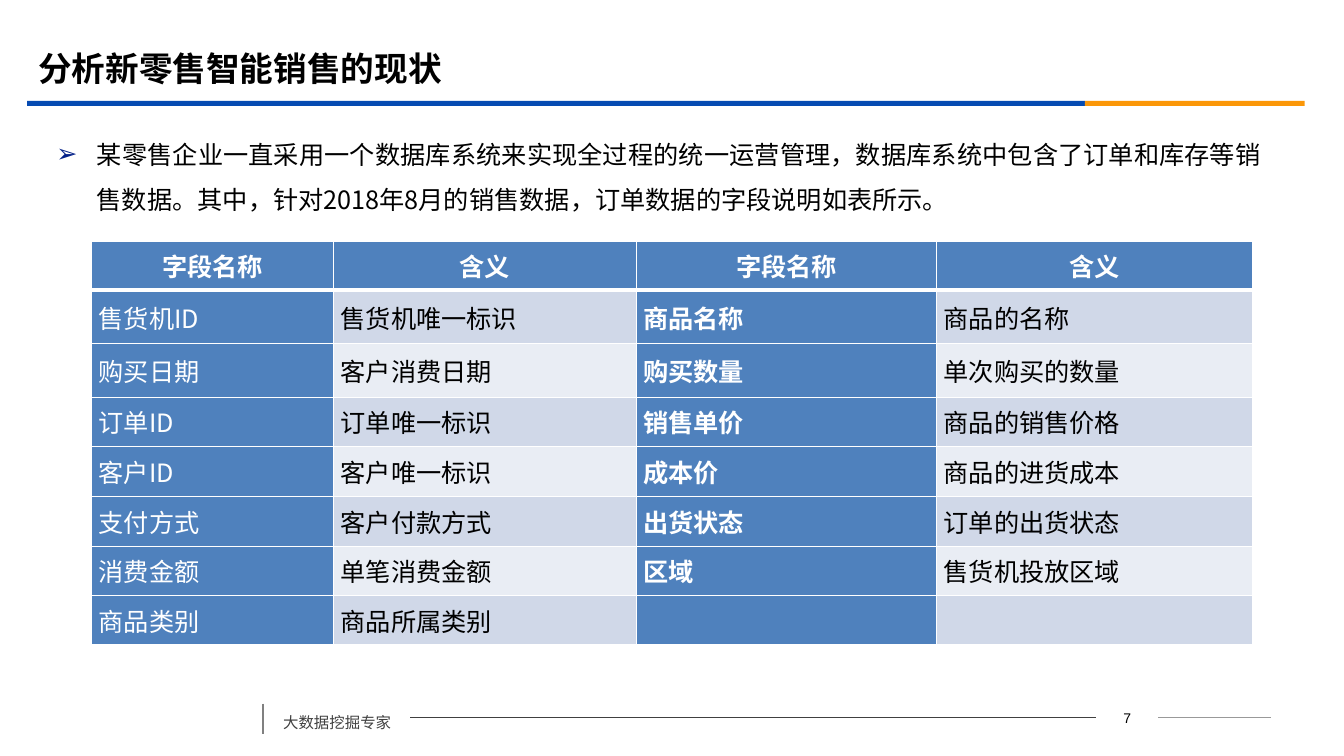
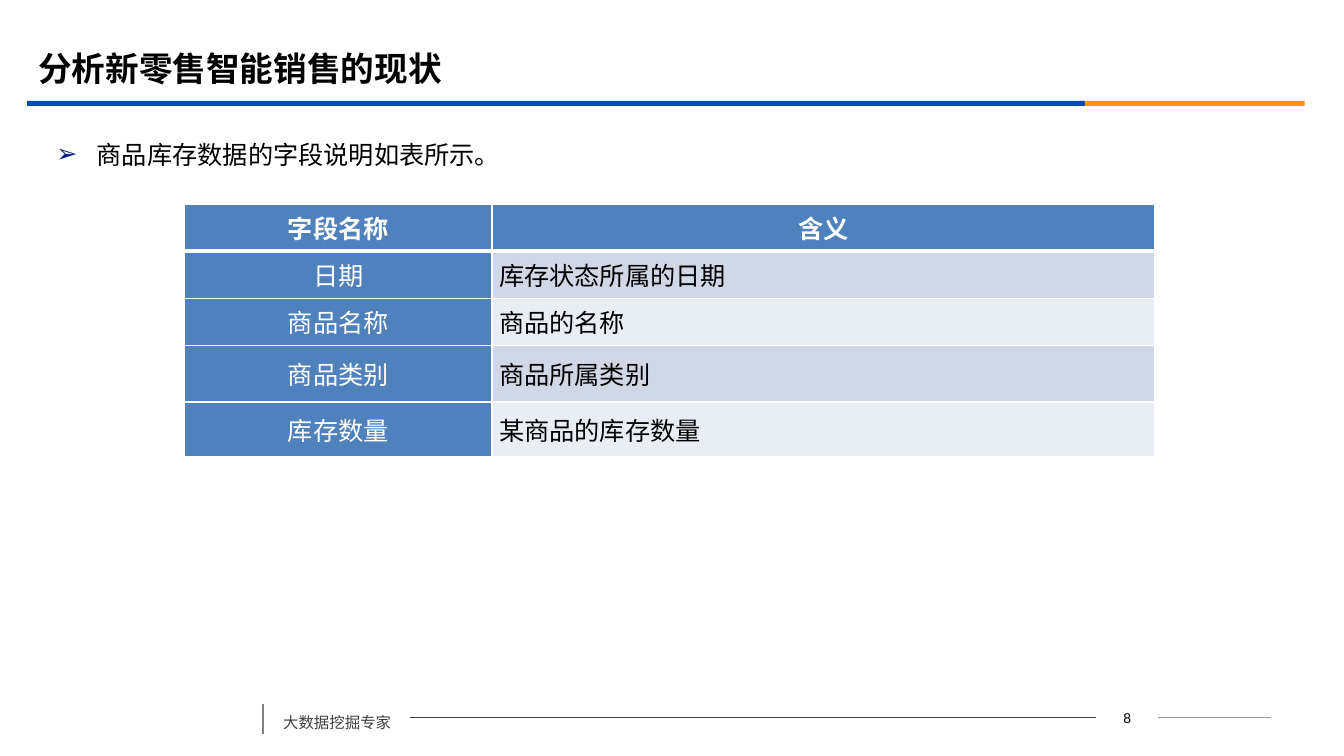
from dataclasses import dataclass
from typing import Any

from lxml.etree import SubElement
from pptx import Presentation
from pptx.dml.color import RGBColor
from pptx.enum.shapes import MSO_CONNECTOR, MSO_SHAPE
from pptx.enum.text import MSO_ANCHOR, MSO_AUTO_SIZE, PP_ALIGN
from pptx.oxml.ns import qn
from pptx.util import Inches, Pt


@dataclass(frozen=True)
class Theme:
    font: str = "Noto Sans CJK SC"
    digit: str = "Arial"
    black: str = "000000"
    white: str = "FFFFFF"
    blue: str = "064BB2"
    gold: str = "FB9708"
    mark: str = "032089"
    note: str = "404040"
    rule: str = "404040"
    tail: str = "999999"
    tick: str = "808080"
    head: str = "4F81BD"
    odd: str = "D0D8E8"
    even: str = "E9EDF4"
    big: int = 24
    base: int = 18
    foot: int = 11
    small: int = 10


@dataclass(frozen=True)
class Band:
    left: float
    width: float
    color: str


@dataclass(frozen=True)
class Grid:
    left: float
    top: float
    cols: list[float]
    rows: list[float]
    cells: list[list[str]]
    key_align: PP_ALIGN


@dataclass(frozen=True)
class Page:
    number: int
    lead: str
    grid: Grid


T = Theme()
TITLE = "分析新零售智能销售的现状"
BANDS = [Band(0.27, 10.49, T.blue), Band(10.76, 2.18, T.gold)]
MID = 7.12  # height of the footer rules

PAGES = [
    Page(7, "某零售企业一直采用一个数据库系统来实现全过程的统一运营管理，数据库系统中包含了"
            "订单和库存等销售数据。其中，针对2018年8月的销售数据，订单数据的字段说明如表所示。",
         Grid(0.91, 2.39, [2.4, 3, 2.98, 3.13],
              [0.49, 0.53, 0.53, 0.49, 0.5, 0.49, 0.49, 0.49],
              [["字段名称", "含义", "字段名称", "含义"],
               ["售货机ID", "售货机唯一标识", "商品名称", "商品的名称"],
               ["购买日期", "客户消费日期", "购买数量", "单次购买的数量"],
               ["订单ID", "订单唯一标识", "销售单价", "商品的销售价格"],
               ["客户ID", "客户唯一标识", "成本价", "商品的进货成本"],
               ["支付方式", "客户付款方式", "出货状态", "订单的出货状态"],
               ["消费金额", "单笔消费金额", "区域", "售货机投放区域"],
               ["商品类别", "商品所属类别", "", ""]],
              PP_ALIGN.LEFT)),
    Page(8, "商品库存数据的字段说明如表所示。",
         Grid(1.83, 2.03, [3.05, 6.57], [0.46, 0.47, 0.47, 0.56, 0.54],
              [["字段名称", "含义"],
               ["日期", "库存状态所属的日期"],
               ["商品名称", "商品的名称"],
               ["商品类别", "商品所属类别"],
               ["库存数量", "某商品的库存数量"]],
              PP_ALIGN.CENTER)),
]


def apply(item: Any, form: dict[str, Any]) -> None:
    for name, value in form.items():
        setattr(item, name, value)


def place(shape: Any, left: float, top: float, width: float, height: float) -> None:
    apply(shape, {"left": Inches(left), "top": Inches(top),
                  "width": Inches(width), "height": Inches(height)})


def write(para: Any, text: str, size: int, color: str, bold: bool = False,
          font: str = T.font, **form: Any) -> None:
    """Fill a paragraph with one run; form holds paragraph settings."""
    apply(para, form)
    run = para.add_run()
    run.text = text
    apply(run.font, {"name": font, "size": Pt(size), "bold": bold})
    run.font.color.rgb = RGBColor.from_string(color)
    SubElement(run._r.get_or_add_rPr(), qn("a:ea"), typeface=font)


def bullet(para: Any) -> None:
    props = para._p.get_or_add_pPr()
    apply_ind = {"marL": str(Inches(0.4)), "indent": str(Inches(-0.4))}
    for name, value in apply_ind.items():
        props.set(name, value)
    color = SubElement(props, qn("a:buClr"))
    SubElement(color, qn("a:srgbClr"), val=T.mark)
    SubElement(props, qn("a:buFont"), typeface=T.digit)
    SubElement(props, qn("a:buChar"), char="➢")


def add_text(slide: Any, left: float, top: float, width: float, height: float) -> Any:
    box = slide.shapes.add_textbox(Inches(left), Inches(top), Inches(width), Inches(height))
    box.text_frame.word_wrap = True
    return box


def add_line(slide: Any, start: tuple[float, float], end: tuple[float, float],
             color: str, width: float) -> Any:
    line = slide.shapes.add_connector(
        MSO_CONNECTOR.STRAIGHT, *(Inches(v) for v in (*start, *end)))
    line.line.color.rgb = RGBColor.from_string(color)
    line.line.width = Pt(width)
    SubElement(line._element.spPr, qn("a:effectLst"))
    return line


def add_frame(slide: Any, number: int) -> None:
    # Title bands
    for band in BANDS:
        bar = slide.shapes.add_shape(MSO_SHAPE.RECTANGLE, Inches(band.left), Inches(1),
                                     Inches(band.width), Inches(0.05))
        bar.shadow.inherit = False
        bar.fill.solid()
        bar.fill.fore_color.rgb = RGBColor.from_string(band.color)
        bar.line.fill.background()

    # Footer words and page number
    note = add_text(slide, 2.71, MID - 0.19, 1.36, 0.38)
    write(note.text_frame.paragraphs[0], "大数据挖掘专家", T.foot, T.note,
          line_spacing=1.5, space_before=Pt(6))
    page = add_text(slide, 10.87, MID - 0.13, 0.62, 0.26)
    write(page.text_frame.paragraphs[0], str(number), T.small, T.black,
          font=T.digit, alignment=PP_ALIGN.CENTER)

    # Footer rules
    add_line(slide, (2.61, 6.98), (2.61, 7.28), T.tick, 1.25)
    long = add_line(slide, (4.07, MID), (10.87, MID), T.rule, 0.75)
    long.begin_connect(note, 3)
    long.end_connect(page, 1)
    short = add_line(slide, (11.49, MID), (12.61, MID), T.tail, 0.75)
    short.begin_connect(page, 3)


def edge(cell: Any, base: int) -> None:
    """Give a cell white borders, with its own width at the base."""
    props = cell._tc.get_or_add_tcPr()
    for side, width in {"L": 1, "R": 1, "T": 1, "B": base}.items():
        line = SubElement(props, qn(f"a:ln{side}"), w=str(Pt(width)))
        fill = SubElement(line, qn("a:solidFill"))
        SubElement(fill, qn("a:srgbClr"), val=T.white)


def add_grid(slide: Any, grid: Grid) -> None:
    table = slide.shapes.add_table(
        len(grid.rows), len(grid.cols), Inches(grid.left), Inches(grid.top),
        Inches(sum(grid.cols)), Inches(sum(grid.rows))).table
    table.horz_banding = False
    for col, width in zip(table.columns, grid.cols):
        col.width = Inches(width)
    for row, height in zip(table.rows, grid.rows):
        row.height = Inches(height)
    for r, words in enumerate(grid.cells):
        for c, text in enumerate(words):
            cell = table.cell(r, c)
            top, key = r == 0, c % 2 == 0
            apply(cell, {"margin_left": Inches(0.07), "margin_right": Inches(0.07),
                         "margin_top": 0, "margin_bottom": 0,
                         "vertical_anchor": MSO_ANCHOR.MIDDLE})
            edge(cell, 3 if top else 1)
            dark = top or key
            shade = T.head if dark else T.odd if r % 2 else T.even
            cell.fill.solid()
            cell.fill.fore_color.rgb = RGBColor.from_string(shade)
            if text:
                align = PP_ALIGN.CENTER if top else grid.key_align if key else PP_ALIGN.LEFT
                write(cell.text_frame.paragraphs[0], text, T.base,
                      T.white if dark else T.black, bold=top or c == 2, alignment=align)


def add_page(deck: Any, page: Page) -> None:
    slide = deck.slides.add_slide(deck.slide_layouts[1])
    title, body = slide.placeholders

    # Title and lead
    place(title, 0.28, 0.39, 12, 0.58)
    apply(title.text_frame, {"vertical_anchor": MSO_ANCHOR.MIDDLE, "word_wrap": True,
                             "auto_size": MSO_AUTO_SIZE.NONE})
    write(title.text_frame.paragraphs[0], TITLE, T.big, T.black, bold=True,
          alignment=PP_ALIGN.LEFT)
    place(body, 0.46, 1.18, 12.15, 5.52)
    body.text_frame.auto_size = MSO_AUTO_SIZE.NONE
    lead = body.text_frame.paragraphs[0]
    write(lead, page.lead, T.base, T.black, alignment=PP_ALIGN.JUSTIFY,
          line_spacing=1.5, space_before=Pt(10))
    bullet(lead)

    add_frame(slide, page.number)
    add_grid(slide, page.grid)


def main() -> None:
    deck = Presentation()
    apply(deck, {"slide_width": Inches(13.33), "slide_height": Inches(7.5)})
    for page in PAGES:
        add_page(deck, page)
    deck.save("out.pptx")


if __name__ == "__main__":
    main()
